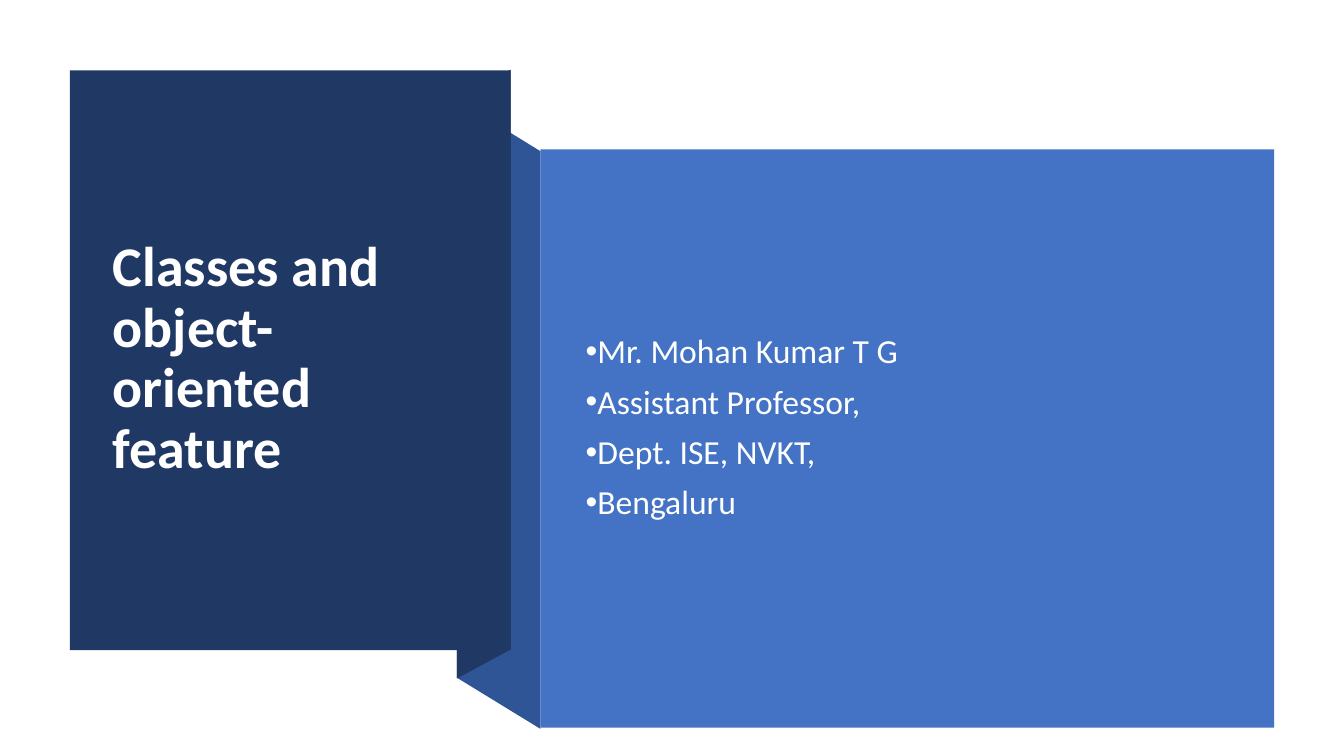
from pptx import Presentation
from pptx.dml.color import RGBColor
from pptx.enum.shapes import MSO_SHAPE
from pptx.enum.text import MSO_ANCHOR, MSO_AUTO_SIZE, PP_ALIGN
from pptx.oxml.ns import qn
from pptx.util import Inches, Pt
from lxml import etree

RECT = MSO_SHAPE.RECTANGLE
MIDDLE = MSO_ANCHOR.MIDDLE
LEFT = PP_ALIGN.LEFT
NO_FIT = MSO_AUTO_SIZE.NONE
NAVY, FOLD, BLUE = "203864", "2F5597", "4472C4"
WHITE, OFF_WHITE = "FFFFFF", "FEFFFF"


def rgb(value):
    return RGBColor.from_string(value)


def add_bullet(p):
    ppr = p._p.get_or_add_pPr()
    ppr.set("marL", "0")
    ppr.set("indent", str(-Inches(0.25)))
    font = etree.SubElement(ppr, qn("a:buFont"))
    font.set("typeface", "Arial")
    etree.SubElement(ppr, qn("a:buChar")).set("char", "•")


def write(tf, lines, size, color, font="Calibri", bold=False, before=0, bullet=False):
    for i, line in enumerate(lines):
        p = tf.add_paragraph() if i else tf.paragraphs[0]
        p.alignment = LEFT
        p.line_spacing = 0.9
        p.space_before = Pt(before)
        if bullet:
            add_bullet(p)
        r = p.add_run()
        r.text = line
        r.font.name = font
        r.font.size = Pt(size)
        r.font.bold = bold
        r.font.color.rgb = rgb(color)


class Deck:
    def __init__(self, width, height):
        self.prs = Presentation()
        self.prs.slide_width = Inches(width)
        self.prs.slide_height = Inches(height)
        self.s = self.prs.slides.add_slide(self.prs.slide_layouts[0])

    def x(self, percent):
        return round(self.prs.slide_width * percent / 100)

    def y(self, percent):
        return round(self.prs.slide_height * percent / 100)

    def paint(self, sp, color):
        sp.shadow.inherit = False
        sp.fill.solid()
        sp.fill.fore_color.rgb = rgb(color)
        sp.line.fill.background()

    def band(self, left, right, left_span, right_span, color):
        points = [(self.x(left), self.y(v)) for v in left_span]
        points += [(self.x(right), self.y(v)) for v in reversed(right_span)]
        builder = self.s.shapes.build_freeform(*points[0])
        builder.add_line_segments(points[1:], close=True)
        self.paint(builder.convert_to_shape(), color)

    def panel(self, left, top, width, height, color):
        sp = self.s.shapes.add_shape(
            RECT, self.x(left), self.y(top), self.x(width), self.y(height))
        self.paint(sp, color)

    def placeholder(self, index, left, top, width, height, lines, **style):
        sp = self.s.placeholders[index]
        sp.left, sp.top = self.x(left), self.y(top)
        sp.width, sp.height = self.x(width), self.y(height)
        sp.element.getparent().append(sp.element)
        tf = sp.text_frame
        tf.word_wrap = True
        tf.auto_size = NO_FIT
        tf.vertical_anchor = MIDDLE
        write(tf, lines, **style)


def main():
    deck = Deck(13.33, 7.5)
    deck.band(34, 40.2, (13.2, 89.65), (20, 96.4), FOLD)
    deck.band(34, 38, (13.1, 89.75), (9.2, 85.9), NAVY)
    deck.panel(5.2, 9.3, 32.8, 76.7, NAVY)
    deck.placeholder(0, 7.65, 14.27, 27.83, 66.53,
                     ["Classes and object-oriented feature"],
                     size=40, color=WHITE, bold=True)
    deck.panel(40.2, 19.75, 54.6, 76.5, BLUE)
    deck.placeholder(1, 42.83, 25.07, 48.83, 63.2,
                     ["Mr. Mohan Kumar T G", "Assistant Professor,",
                      "Dept. ISE, NVKT,", "Bengaluru"],
                     size=24, color=OFF_WHITE, before=10, bullet=True)
    deck.prs.save("out.pptx")


if __name__ == "__main__":
    main()
